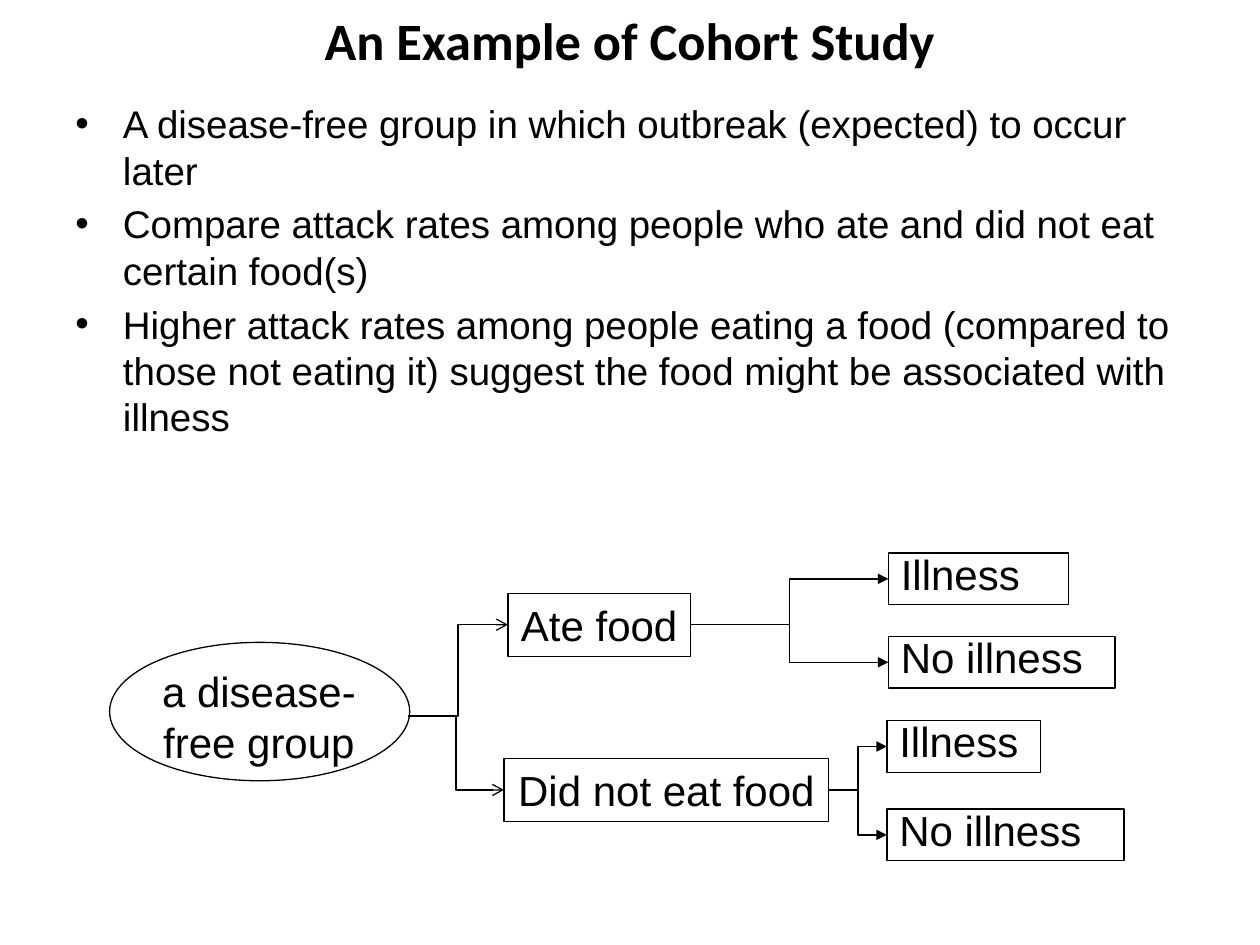
from dataclasses import dataclass

from lxml.etree import SubElement
from pptx import Presentation
from pptx.dml.color import RGBColor
from pptx.enum.shapes import MSO_CONNECTOR, MSO_SHAPE
from pptx.enum.text import MSO_ANCHOR, MSO_AUTO_SIZE, PP_ALIGN
from pptx.oxml.ns import qn
from pptx.util import Cm, Pt


@dataclass(frozen=True)
class Theme:
    """Colours, fonts and type sizes of the slide."""
    ink: RGBColor = RGBColor(0, 0, 0)
    heading_font: str = "Calibri"
    body_font: str = "Arial"
    title_size: Pt = Pt(30)
    bullet_size: Pt = Pt(22)
    label_size: Pt = Pt(24)
    line_width: Pt = Pt(0.75)


THEME = Theme()
POINTS = (
    "A disease-free group in which outbreak (expected) to occur later",
    "Compare attack rates among people who ate and did not eat certain food(s)",
    "Higher attack rates among people eating a food (compared to those not "
    "eating it) suggest the food might be associated with illness",
)
EXPOSURES = (
    ("Ate food", (8.03, 0.81, 3.68, 1.27), 15.7,
     (("Illness", 0, 3.63), ("No illness", 1.68, 4.57))),
    ("Did not eat food", (7.95, 4.14, 6.55, 1.27), 15.67,
     (("Illness", 3.38, 3.1), ("No illness", 5.16, 4.78))),
)
OUTCOME_HEIGHT = 1.04


def place(origin, box):
    """Turn a box in centimetres, relative to an origin, into slide lengths."""
    left, top, width, height = box
    return Cm(origin[0] + left), Cm(origin[1] + top), Cm(width), Cm(height)


def style(paragraph, size, name=THEME.body_font, bold=False):
    """Set the font of a paragraph."""
    font = paragraph.font
    font.size, font.name, font.bold = size, name, bold
    font.color.rgb = THEME.ink


def outline(slide, preset, box):
    """Add an unfilled shape with a thin line."""
    shape = slide.shapes.add_shape(preset, *box)
    shape.shadow.inherit = False
    shape.fill.background()
    shape.line.color.rgb = THEME.ink
    shape.line.width = THEME.line_width
    return shape


def label(shape, lines, align, spacing=None, wrap=True):
    """Write lines into a shape, centred vertically."""
    frame = shape.text_frame
    frame.text = "\n".join(lines)
    frame.word_wrap = wrap
    frame.vertical_anchor = MSO_ANCHOR.MIDDLE
    for paragraph in frame.paragraphs:
        paragraph.alignment = align
        paragraph.line_spacing = spacing
        style(paragraph, THEME.label_size)


def branch(slide, source, target, head):
    """Join the right side of one box to the left side of another."""
    arrow = slide.shapes.add_connector(MSO_CONNECTOR.ELBOW, 0, 0, 0, 0)
    arrow.begin_connect(source, 3)
    arrow.end_connect(target, 1)
    arrow.line.color.rgb = THEME.ink
    arrow.line.width = THEME.line_width
    properties = arrow._element.spPr
    SubElement(properties.find(qn("a:ln")), qn("a:tailEnd"), type=head)
    SubElement(properties, qn("a:effectLst"))


def add_title(slide, box):
    """Place and format the slide title."""
    title = slide.shapes.title
    title.left, title.top, title.width, title.height = box
    frame = title.text_frame
    frame.text = "An Example of Cohort Study"
    frame.auto_size = MSO_AUTO_SIZE.NONE
    frame.vertical_anchor = MSO_ANCHOR.MIDDLE
    heading = frame.paragraphs[0]
    heading.alignment = PP_ALIGN.CENTER
    heading.line_spacing = 0.9
    style(heading, THEME.title_size, THEME.heading_font, True)


def add_points(slide, box):
    """Add the bulleted points about the study."""
    frame = slide.shapes.add_textbox(*box).text_frame
    frame.word_wrap = True
    frame.text = "\n".join(POINTS)
    for index, paragraph in enumerate(frame.paragraphs):
        properties = paragraph._p.get_or_add_pPr()
        properties.set("marL", str(Cm(0.96)))
        properties.set("indent", str(-Cm(0.96)))
        SubElement(properties, qn("a:buFont"), typeface=THEME.body_font)
        SubElement(properties, qn("a:buChar"), char="•")
        if index:
            paragraph.space_before = Pt(4.4)
        style(paragraph, THEME.bullet_size)


def add_cohort_tree(slide, origin):
    """Draw the tree from the group through exposures to outcomes."""
    group = slide.shapes.add_textbox(*place(origin, (0, 2.13, 6.02, 2.31)))
    label(group, ("a disease-", "free group"), PP_ALIGN.CENTER)
    outline(slide, MSO_SHAPE.OVAL, place(origin, (0, 1.8, 6.05, 2.79)))
    for name, box, outcome_left, outcomes in EXPOSURES:
        exposure = outline(slide, MSO_SHAPE.RECTANGLE, place(origin, box))
        label(exposure, (name,), PP_ALIGN.CENTER, wrap=False)
        branch(slide, group, exposure, "arrow")
        for result, top, width in outcomes:
            outcome_box = (outcome_left, top, width, OUTCOME_HEIGHT)
            outcome = outline(slide, MSO_SHAPE.RECTANGLE, place(origin, outcome_box))
            label(outcome, (result,), PP_ALIGN.LEFT, spacing=0.75)
            branch(slide, exposure, outcome, "triangle")


def main():
    """Build and save the slide."""
    deck = Presentation()
    deck.slide_width, deck.slide_height = Cm(25.4), Cm(19.05)
    slide = deck.slides.add_slide(deck.slide_layouts.get_by_name("Title Only"))
    add_title(slide, (Cm(1.27), Cm(0.1), Cm(22.86), Cm(1.57)))
    add_points(slide, (Cm(1.27), Cm(1.9), Cm(23.29), Cm(7.21)))
    add_cohort_tree(slide, (2.21, 11.15))
    deck.save("out.pptx")


if __name__ == "__main__":
    main()
